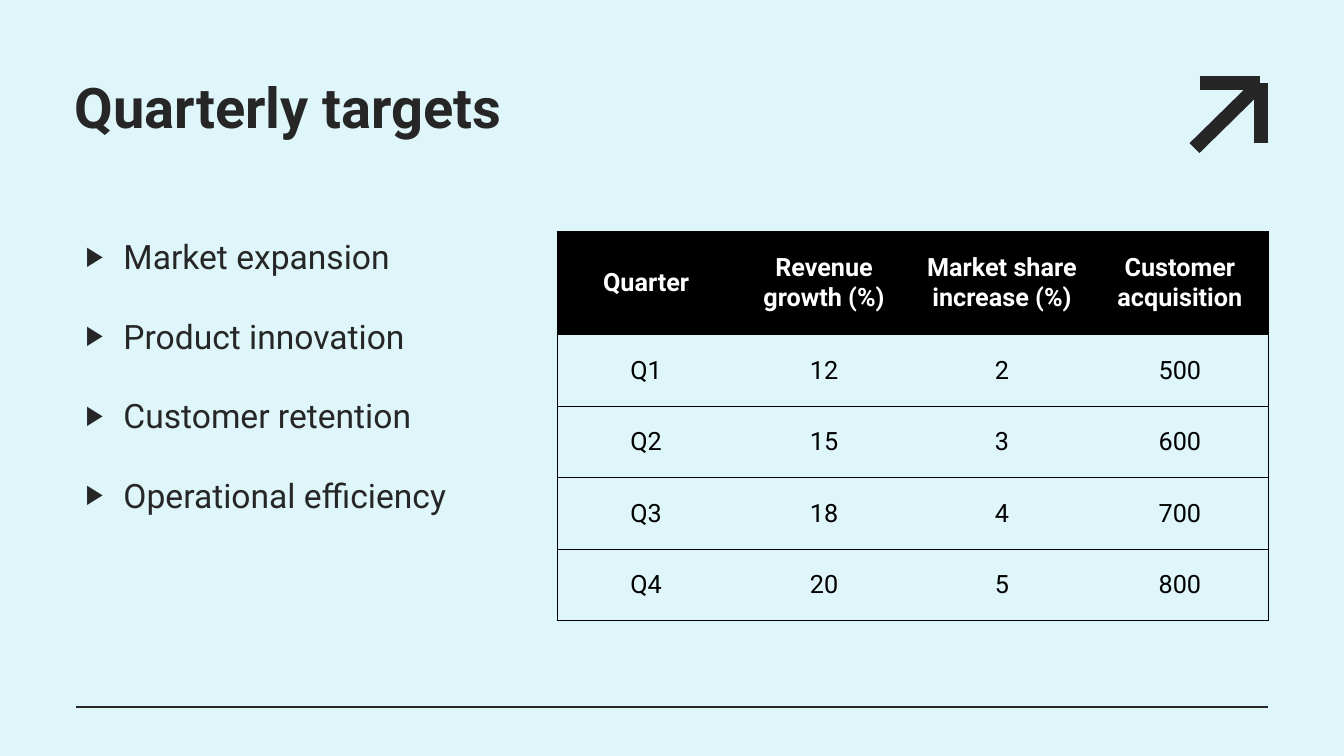
from lxml.etree import SubElement
from pptx import Presentation
from pptx.dml.color import RGBColor
from pptx.enum.shapes import MSO_CONNECTOR
from pptx.enum.text import MSO_ANCHOR, MSO_AUTO_SIZE, PP_ALIGN
from pptx.oxml import parse_xml
from pptx.oxml.ns import nsdecls, qn
from pptx.util import Pt

FONT = "Roboto"
HUES = {"back": "DEF5FA", "ink": "262626", "black": "000000", "white": "FFFFFF"}
GOALS = ["Market expansion", "Product innovation",
         "Customer retention", "Operational efficiency"]
ROWS = [
    ["Quarter", "Revenue growth (%)", "Market share increase (%)", "Customer acquisition"],
    ["Q1", "12", "2", "500"],
    ["Q2", "15", "3", "600"],
    ["Q3", "18", "4", "700"],
    ["Q4", "20", "5", "800"],
]
ARROW = [
    (856.8, 59, 900, 59),
    (900.7, 59, 900.7, 102.2),
    (853.2, 105.8, 895.7, 64.1),
]
RULE = (54, 504.7, 905.8, 504.7)


def hue(name):
    return RGBColor.from_string(HUES[name])


def add_run(para, text, size, tint, bold=False):
    run = para.add_run()
    run.text = text
    run.font.name = FONT
    run.font.size = Pt(size)
    run.font.bold = bold
    run.font.color.rgb = hue(tint)


def add_line(shapes, ends, width):
    line = shapes.add_connector(MSO_CONNECTOR.STRAIGHT, *map(Pt, ends))
    line.line.color.rgb = hue("ink")
    line.line.width = Pt(width)
    SubElement(line._element.spPr, qn("a:effectLst"))


def set_frame(shape, box, insets):
    shape.left, shape.top, shape.width, shape.height = map(Pt, box)
    frame = shape.text_frame
    frame.margin_left, frame.margin_top, frame.margin_right, frame.margin_bottom = map(Pt, insets)
    frame.word_wrap = True
    frame.auto_size = MSO_AUTO_SIZE.NONE
    frame.vertical_anchor = MSO_ANCHOR.TOP
    return frame


def add_title(slide, text):
    frame = set_frame(slide.shapes.title, (53.3, 54.7, 792, 100.8), (0, 0, 0, 7.2))
    para = frame.paragraphs[0]
    para.alignment = PP_ALIGN.LEFT
    para.line_spacing = Pt(45)
    add_run(para, text, 40, "ink", True)


def set_bullet(para):
    props = para._p.get_or_add_pPr()
    props.set("marL", str(Pt(27)))
    props.set("indent", str(-Pt(27)))
    color = SubElement(props, qn("a:buClr"))
    SubElement(color, qn("a:srgbClr"), val=HUES["ink"])
    SubElement(props, qn("a:buSzPct"), val="80000")
    SubElement(props, qn("a:buFont"), typeface="Arial")
    SubElement(props, qn("a:buChar"), char="▶")


def add_list(slide, items):
    frame = set_frame(slide.placeholders[1], (54, 168.5, 298.8, 275), (7.2, 0, 0, 0))
    for index, item in enumerate(items):
        para = frame.add_paragraph() if index else frame.paragraphs[0]
        para.space_before = Pt(28)
        set_bullet(para)
        add_run(para, item, 24, "ink")


def set_edges(cell, shown):
    props = cell._tc.get_or_add_tcPr()
    for index, side in enumerate("LRTB"):
        fill = "<a:noFill/>"
        if side in shown:
            fill = f'<a:solidFill><a:srgbClr val="{HUES["black"]}"/></a:solidFill>'
        edge = parse_xml(f'<a:ln{side} {nsdecls("a")} w="{Pt(1)}">{fill}</a:ln{side}>')
        props.insert(index, edge)


def fill_cell(cell, text, head):
    if head:
        cell.fill.solid()
        cell.fill.fore_color.rgb = hue("black")
    else:
        cell.fill.background()
    cell.vertical_anchor = MSO_ANCHOR.MIDDLE
    para = cell.text_frame.paragraphs[0]
    para.alignment = PP_ALIGN.CENTER
    add_run(para, text, 18, "white" if head else "black", head)


def add_grid(slide, rows):
    count = len(rows[0])
    box = map(Pt, (398, 165.5, 508.4, 278))
    table = slide.shapes.add_table(len(rows), count, *box).table
    table.horz_banding = False
    for col in table.columns:
        col.width = Pt(127.1)
    for r, row in enumerate(rows):
        table.rows[r].height = Pt(51.1 if r else 73.6)
        for c, text in enumerate(row):
            cell = table.cell(r, c)
            fill_cell(cell, text, r == 0)
            left = "L" if c == 0 else ""
            right = "R" if c == count - 1 else ""
            set_edges(cell, "TB" + left + right)


def main():
    deck = Presentation()
    deck.slide_width, deck.slide_height = Pt(960), Pt(540)
    slide = deck.slides.add_slide(deck.slide_layouts[1])
    slide.background.fill.solid()
    slide.background.fill.fore_color.rgb = hue("back")
    arrow = slide.shapes.add_group_shape()
    for ends in ARROW:
        add_line(arrow.shapes, ends, 10)
    add_line(slide.shapes, RULE, 1.5)
    add_title(slide, "Quarterly targets")
    add_list(slide, GOALS)
    add_grid(slide, ROWS)
    deck.save("out.pptx")


if __name__ == "__main__":
    main()
